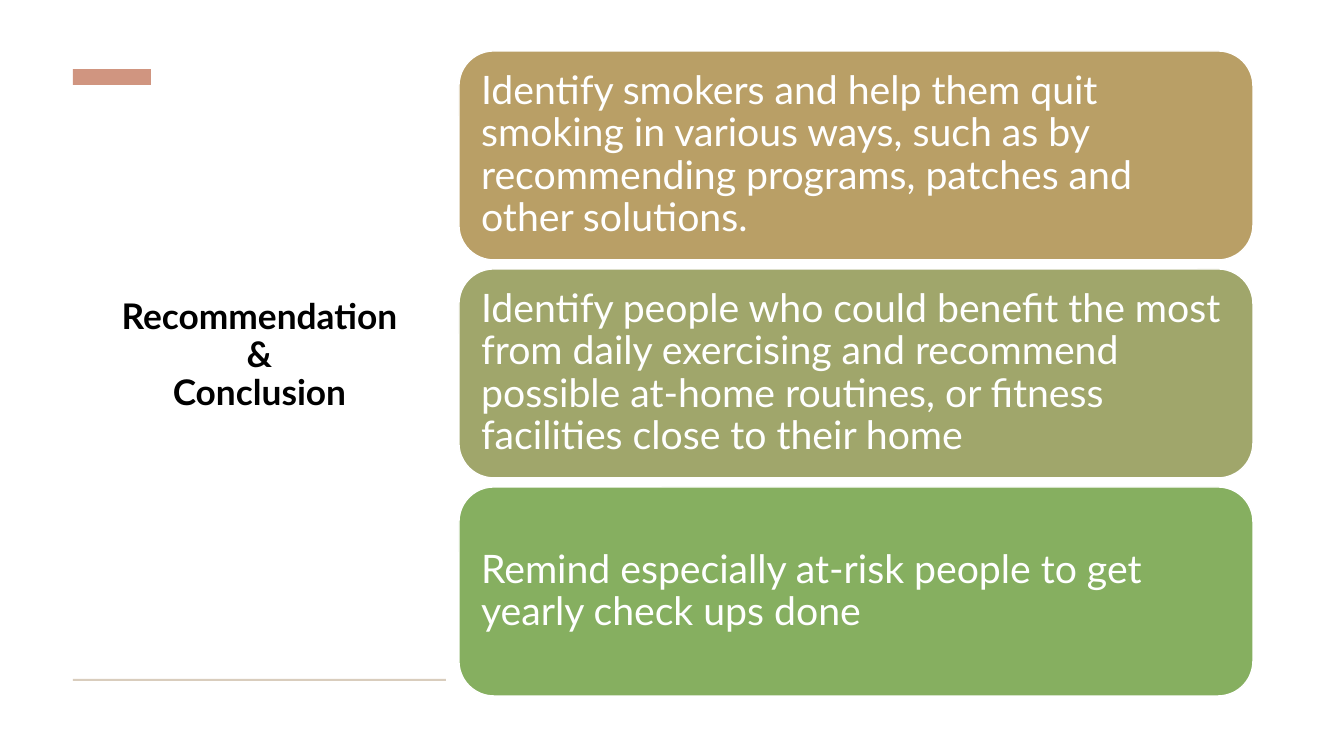
"""Build the recommendation and conclusion slide."""
from pptx import Presentation, util as u
from pptx.dml.color import RGBColor
from pptx.enum import shapes, text

WHITE = RGBColor(0xFF, 0xFF, 0xFF)
BLACK = RGBColor(0x00, 0x00, 0x00)
ROSE = RGBColor(0xD0, 0x95, 0x80)
SAND = RGBColor(0xD9, 0xCD, 0xBD)
GOLD = RGBColor(0xB9, 0x9F, 0x66)
OLIVE = RGBColor(0xA0, 0xA6, 0x6B)
GREEN = RGBColor(0x86, 0xAF, 0x60)


def px(*lengths):
    return [round(length * u.Inches(1) / 100.8) for length in lengths]


def write(frame, words, align, color, size, bold):
    frame.word_wrap = True
    frame.vertical_anchor = text.MSO_ANCHOR.MIDDLE
    paragraph = frame.paragraphs[0]
    paragraph.text = words
    paragraph.alignment = align
    paragraph.line_spacing = 0.9
    for run in paragraph.runs:
        run.font.color.rgb = color
        for key, value in {"name": "Lato", "size": u.Pt(size), "bold": bold}.items():
            setattr(run.font, key, value)


deck = Presentation()
deck.slide_width, deck.slide_height = px(1344, 756)
slide = deck.slides.add_slide(deck.slide_layouts[6])

heading = slide.shapes.add_textbox(*px(73, 290, 373, 132))
write(heading.text_frame, "Recommendation\v&\vConclusion",
      text.PP_ALIGN.CENTER, BLACK, 25.2, True)

for color, place in [(ROSE, (73, 69, 78, 16)), (SAND, (73, 679, 373, 2))]:
    accent = slide.shapes.add_shape(shapes.MSO_SHAPE.RECTANGLE, *px(*place))
    accent.shadow.inherit = False
    accent.fill.solid()
    accent.fill.fore_color.rgb = color
    accent.line.fill.background()

recommendations = [
    (GOLD, "Identify smokers and help them quit smoking in various ways, "
           "such as by recommending programs, patches and other solutions."),
    (OLIVE, "Identify people who could benefit the most from daily exercising and "
            "recommend possible at-home routines, or fitness facilities close to their home"),
    (GREEN, "Remind especially at-risk people to get yearly check ups done"),
]
CARD_TOP, CARD_STEP = 51, 218
card_inset, = px(12)
for row, (color, advice) in enumerate(recommendations):
    card = slide.shapes.add_shape(shapes.MSO_SHAPE.ROUNDED_RECTANGLE,
                                  *px(459, CARD_TOP + row * CARD_STEP, 794, 209))
    card.shadow.inherit = False
    card.fill.solid()
    card.fill.fore_color.rgb = color
    card.line.color.rgb = WHITE
    card.line.width = u.Pt(1)
    for side in ("left", "top", "right", "bottom"):
        setattr(card.text_frame, f"margin_{side}", card_inset)
    write(card.text_frame, advice, text.PP_ALIGN.LEFT, WHITE, 28, False)

deck.save("out.pptx")
